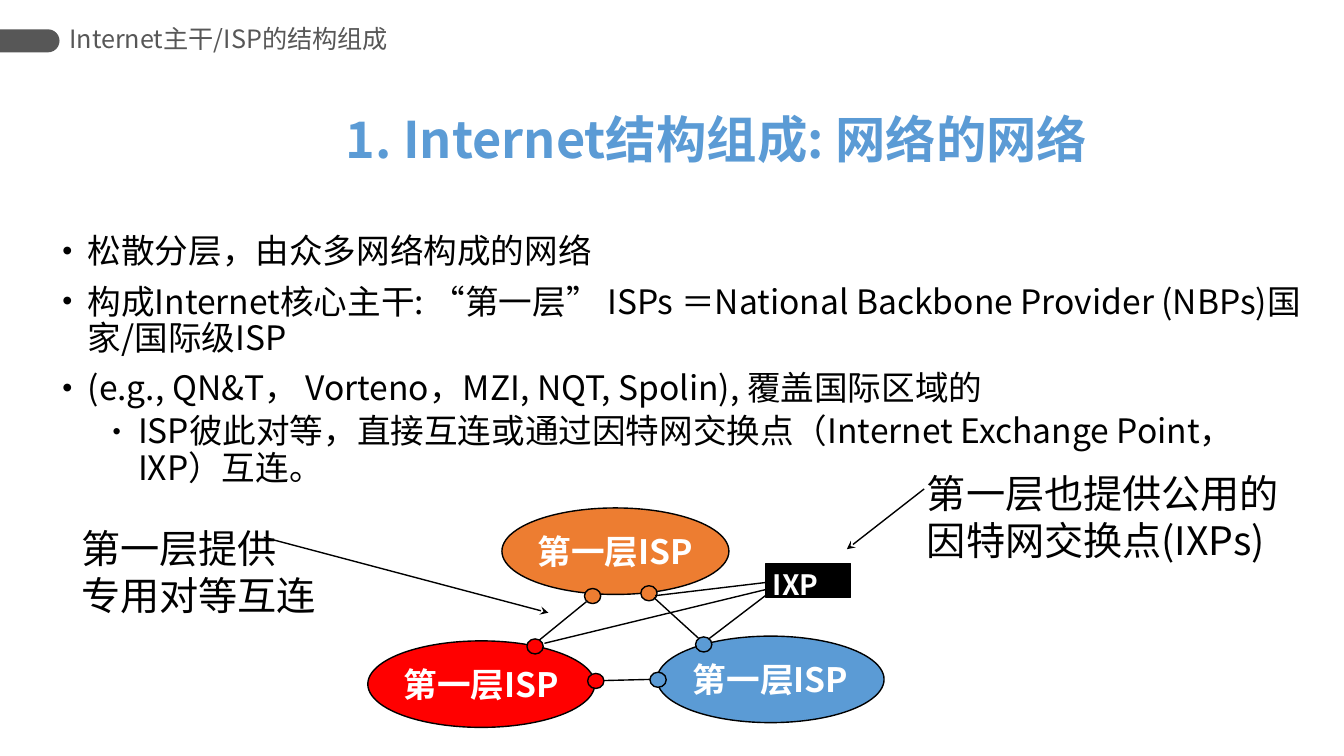
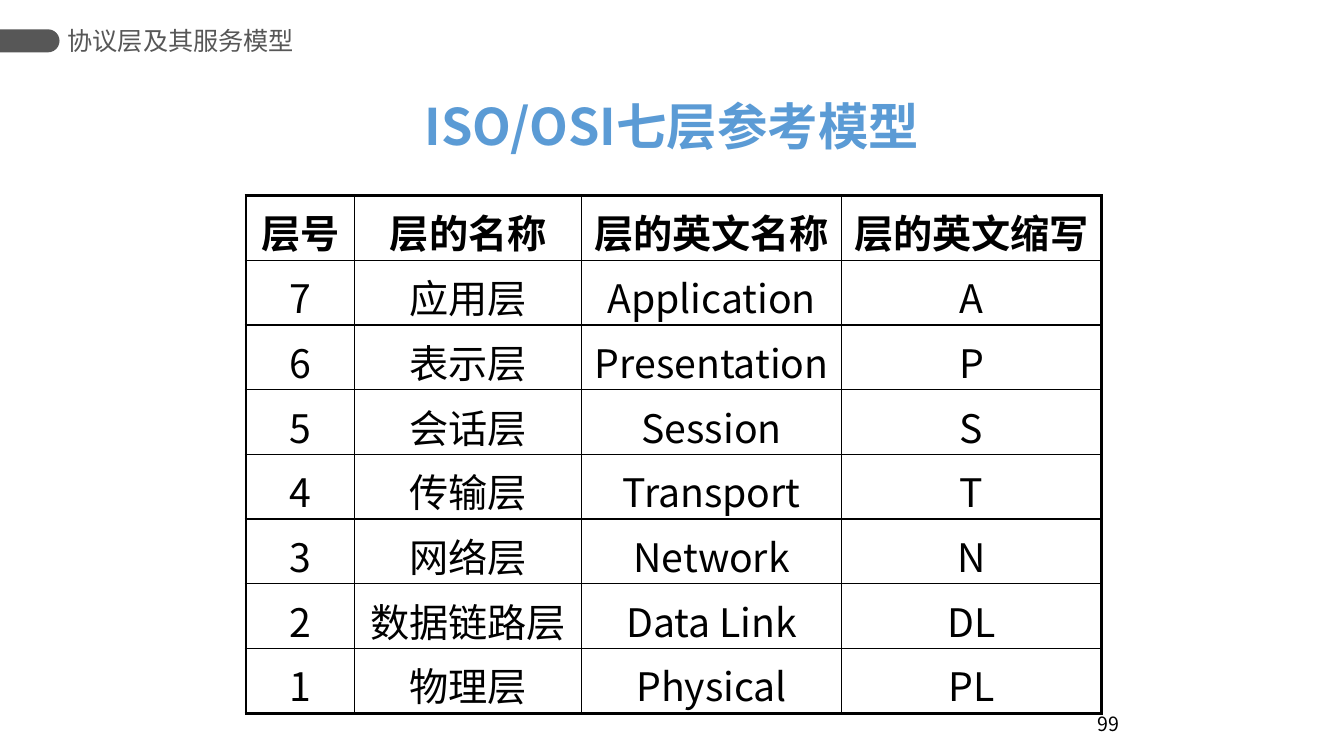
"""Build two slides on the structure of the Internet and the OSI layers."""
from dataclasses import dataclass

from lxml import etree
from pptx import Presentation
from pptx.dml.color import RGBColor
from pptx.enum import shapes, text
from pptx.oxml import ns
from pptx.util import Cm, Pt


@dataclass(frozen=True)
class Theme:
    face: str = "Noto Sans CJK SC"
    black: str = "000000"
    white: str = "FFFFFF"
    gray: str = "575757"
    blue: str = "5B9BD5"
    orange: str = "ED7D31"
    red: str = "FF0000"
    title: int = 36
    note: int = 28
    body: int = 24
    tag: int = 20
    head: int = 18
    page: int = 14
    thin: float = 1
    thick: float = 2.25


look = Theme()
kind = shapes.MSO_SHAPE
mid = text.MSO_ANCHOR.MIDDLE
align = text.PP_ALIGN


def write(frame, lines, size, color=look.black, bold=False, para=None, **form):
    """Fill a text frame with formatted paragraphs."""
    for key, val in form.items():
        setattr(frame, key, val)
    for i, line in enumerate(lines):
        item = frame.paragraphs[0] if i == 0 else frame.add_paragraph()
        for key, val in (para or {}).items():
            setattr(item, key, val)
        run = item.add_run()
        run.text = line
        font = {"size": Pt(size), "bold": bold, "name": look.face}
        for key, val in font.items():
            setattr(run.font, key, val)
        run.font.color.rgb = RGBColor.from_string(color)
        east = etree.SubElement(run._r.get_or_add_rPr(), ns.qn("a:ea"))
        east.set("typeface", look.face)


def draw(slide, form, box, fill, edge=True):
    """Add a filled preset shape, with or without a thin outline."""
    shape = slide.shapes.add_shape(form, *map(Cm, box))
    shape.shadow.inherit = False
    shape.fill.solid()
    shape.fill.fore_color.rgb = RGBColor.from_string(fill)
    if edge:
        shape.line.color.rgb = RGBColor.from_string(look.black)
        shape.line.width = Pt(look.thin)
    else:
        shape.line.fill.background()
    return shape


deck = Presentation()
deck.slide_width, deck.slide_height = Cm(33.87), Cm(19.05)
plan = deck.slide_layouts[5]

pages = [
    ("1. Internet结构组成: 网络的网络", (8.46, 2.77, 22.48, 1.65), align.LEFT,
     "Internet主干/ISP的结构组成", (1.75, 0.61, 9.09, 0.74)),
    ("ISO/OSI七层参考模型", (2.18, 2.44, 29.5, 1.65), align.CENTER,
     "协议层及其服务模型", (1.7, 0.48, 5.92, 1.07)),
]
for name, spot, side, head, place in pages:
    slide = deck.slides.add_slide(plan)
    title = slide.shapes.title
    for key, val in zip(("left", "top", "width", "height"), spot):
        setattr(title, key, Cm(val))
    write(title.text_frame, [name], look.title, look.blue, True,
          {"alignment": side, "line_spacing": 0.9}, word_wrap=True,
          vertical_anchor=mid, auto_size=text.MSO_AUTO_SIZE.NONE)
    box = slide.shapes.add_textbox(*map(Cm, place))
    write(box.text_frame, [head], look.head, look.gray, word_wrap=True,
          vertical_anchor=mid, margin_left=0, margin_right=0)

net, osi = deck.slides
tab = draw(net, kind.ROUND_2_SAME_RECTANGLE, (0.46, 0.28, 0.58, 1.5),
           look.gray, False)
tab.rotation = 90
tab.adjustments[0] = 0.5
plan.shapes.element.append(tab.element)

points = [
    (0, "松散分层，由众多网络构成的网络"),
    (0, "构成Internet核心主干: “第一层” ISPs ＝National Backbone Provider "
        "(NBPs)国家/国际级ISP"),
    (0, "(e.g., QN&T， Vorteno，MZI, NQT, Spolin), 覆盖国际区域的"),
    (1, "ISP彼此对等，直接互连或通过因特网交换点（Internet Exchange Point，"
        "IXP）互连。"),
]
body = net.shapes.add_textbox(Cm(1.32), Cm(5.79), Cm(31.85), Cm(6.1)).text_frame
write(body, [line for _, line in points], look.body,
      para={"line_spacing": 0.9}, word_wrap=True)
for i, (item, (level, _)) in enumerate(zip(body.paragraphs, points)):
    item.level = level
    item.space_before = Pt((5 if level else 10) if i else 0)
    prop = item._p.get_or_add_pPr()
    prop.set("marL", str(Cm(1.91 if level else 0.64)))
    prop.set("indent", str(Cm(-0.64)))
    for tag, key, val in (("buSzPct", "val", "70000" if level else "85000"),
                          ("buFont", "typeface", "Arial"),
                          ("buChar", "char", "•")):
        etree.SubElement(prop, ns.qn("a:" + tag)).set(key, val)

for x, y, fill in ((9.27, 16.15, look.red), (12.65, 12.8, look.orange),
                   (16.56, 16.03, look.blue)):
    isp = draw(net, kind.OVAL, (x, y, 5.72, 2.18), fill)
    write(isp.text_frame, ["第一层ISP"], look.body, look.white, True,
          {"alignment": align.CENTER}, word_wrap=False, vertical_anchor=mid)

for x, y, fill in ((17.53, 16.05, look.blue), (16.15, 14.76, look.orange),
                   (14.73, 14.83, look.orange), (13.28, 16.1, look.red),
                   (14.81, 16.97, look.red), (16.38, 16.94, look.blue)):
    draw(net, kind.OVAL, (x, y, 0.41, 0.38), fill)

draw(net, kind.RECTANGLE, (19.3, 14.2, 2.13, 0.86), look.black)

links = [
    (15.21, 17.15, 16.38, 17.12, False),
    (16.48, 15.06, 17.6, 16.08, False),
    (13.59, 16.13, 14.78, 15.16, False),
    (19.38, 14.94, 17.86, 16.1, False),
    (19.28, 14.68, 16.51, 15.01, False),
    (19.28, 14.86, 13.72, 16.21, False),
    (6.65, 13.54, 13.82, 15.44, True),
    (23.29, 12.32, 21.34, 13.84, True),
]
for *ends, arrow in links:
    link = net.shapes.add_connector(shapes.MSO_CONNECTOR.STRAIGHT, *map(Cm, ends))
    link.line.color.rgb = RGBColor.from_string(look.black)
    link.line.width = Pt(look.thin)
    if arrow:
        tail = etree.SubElement(link.line._get_or_add_ln(), ns.qn("a:tailEnd"))
        tail.set("type", "stealth")
    etree.SubElement(link.element.spPr, ns.qn("a:effectLst"))

notes = [
    ((1.8, 13.08, 7.04, 2.64), ["第一层提供", "专用对等互连"],
     look.note, look.black, False),
    ((23.11, 11.71, 10.16, 2.64), ["第一层也提供公用的因特网交换点(IXPs)"],
     look.note, look.black, False),
    ((19.23, 14.17, 1.96, 1.12), ["IXP"], look.tag, look.white, True),
]
for place, lines, *style in notes:
    box = net.shapes.add_textbox(*map(Cm, place))
    write(box.text_frame, lines, *style, word_wrap=True)

rows = [
    ("层号", "层的名称", "层的英文名称", "层的英文缩写"),
    ("7", "应用层", "Application", "A"),
    ("6", "表示层", "Presentation", "P"),
    ("5", "会话层", "Session", "S"),
    ("4", "传输层", "Transport", "T"),
    ("3", "网络层", "Network", "N"),
    ("2", "数据链路层", "Data Link", "DL"),
    ("1", "物理层", "Physical", "PL"),
]
wide = (2.74, 5.72, 6.55, 6.55)
high = 1.63
grid = osi.shapes.add_table(len(rows), len(wide), Cm(6.2), Cm(4.93),
                            Cm(sum(wide)), Cm(high * len(rows))).table
grid.first_row = grid.horz_banding = False
for col, size in zip(grid.columns, wide):
    col.width = Cm(size)
for r, row in enumerate(rows):
    grid.rows[r].height = Cm(high)
    for c, word in enumerate(row):
        cell = grid.cell(r, c)
        pads = {"margin_left": 0.1, "margin_right": 0.1,
                "margin_top": 0.2, "margin_bottom": 0}
        for key, val in pads.items():
            setattr(cell, key, Cm(val))
        cell.fill.solid()
        cell.fill.fore_color.rgb = RGBColor.from_string(look.white)
        write(cell.text_frame, [word], look.note, bold=r == 0,
              para={"alignment": align.CENTER})
        outer = {"lnL": c == 0, "lnR": c == len(wide) - 1,
                 "lnT": r == 0, "lnB": r == len(rows) - 1}
        prop = cell._tc.get_or_add_tcPr()
        for i, (tag, edge) in enumerate(outer.items()):
            line = etree.Element(ns.qn("a:" + tag))
            line.set("w", str(Pt(look.thick if edge else look.thin)))
            fill = etree.SubElement(line, ns.qn("a:solidFill"))
            etree.SubElement(fill, ns.qn("a:srgbClr")).set("val", look.black)
            prop.insert(i, line)

page = osi.shapes.add_textbox(Cm(23.19), Cm(17.4), Cm(5.28), Cm(1.27))
write(page.text_frame, ["99"], look.page, para={"alignment": align.RIGHT},
      word_wrap=True, vertical_anchor=text.MSO_ANCHOR.BOTTOM)

deck.save("out.pptx")
